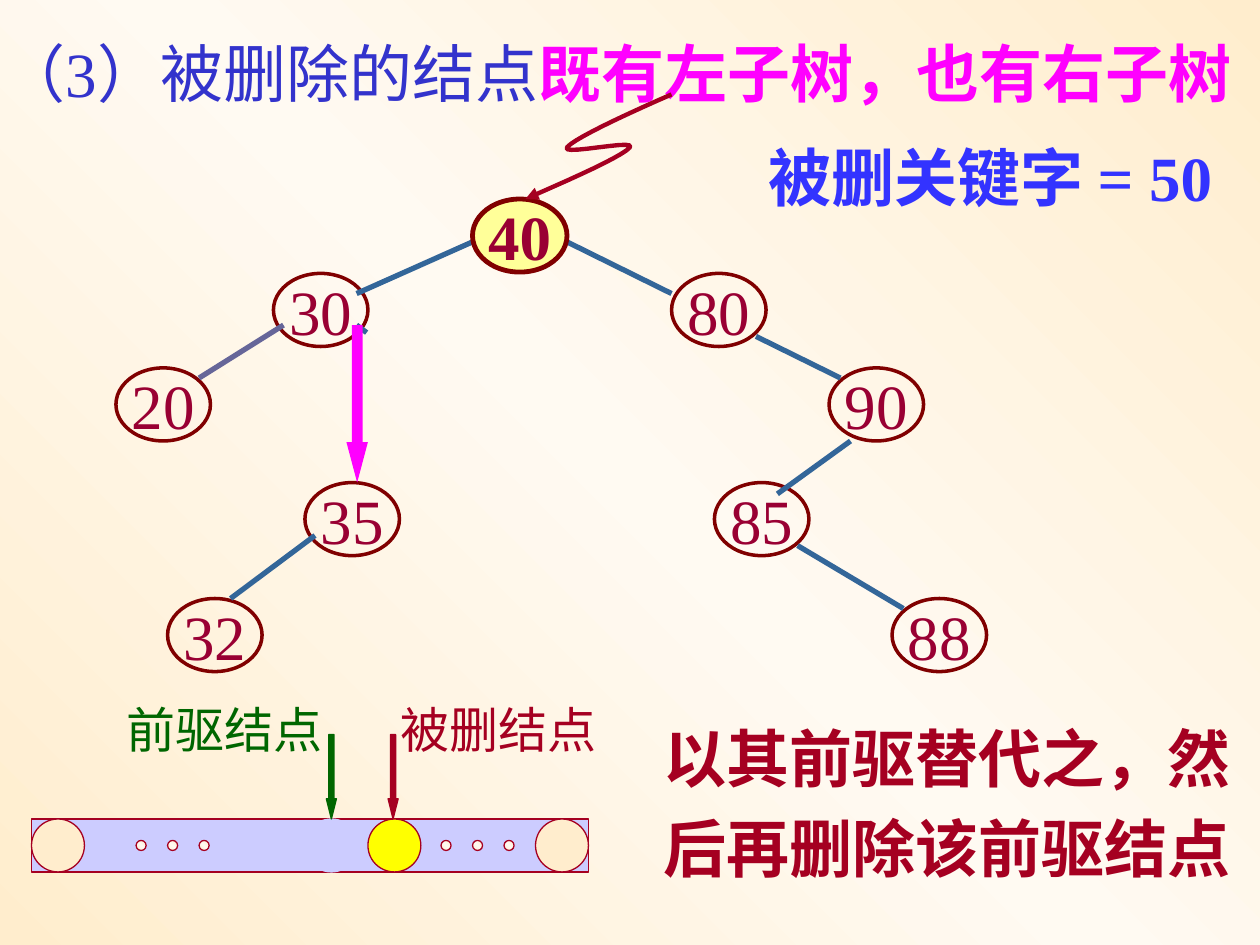
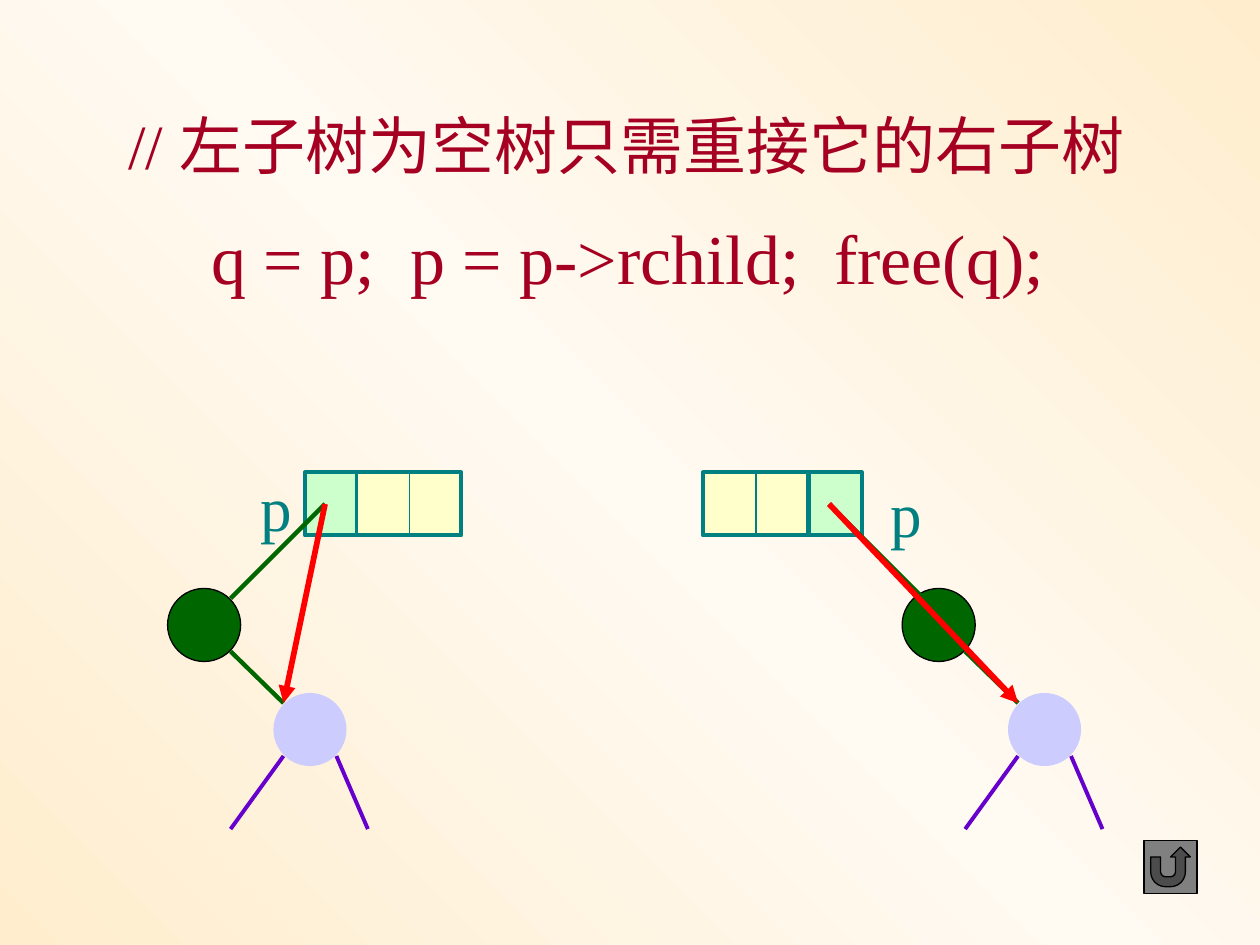
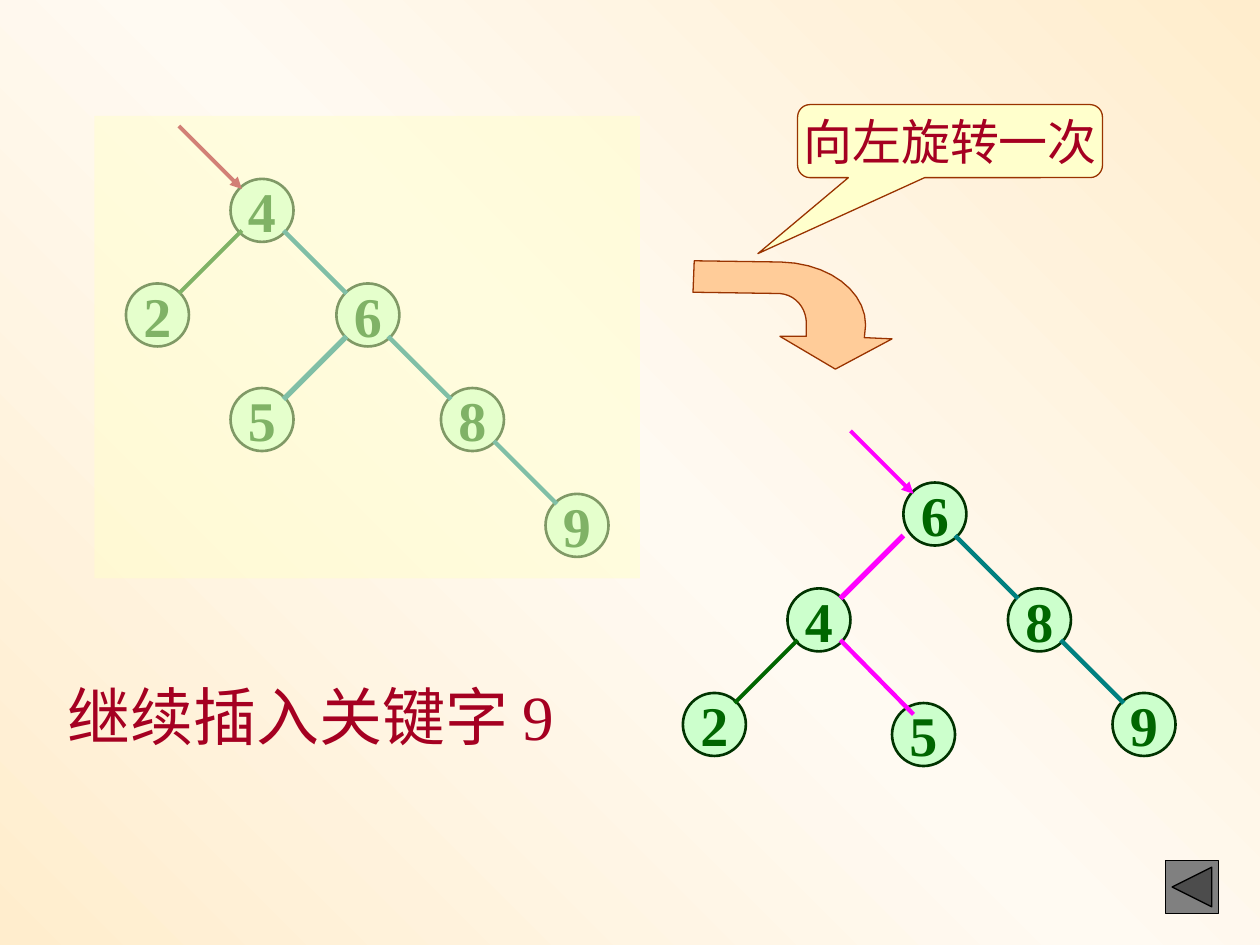
"""Build three slides on deleting from and rotating binary search trees."""
from copy import deepcopy

from lxml import etree
from pptx import Presentation
from pptx.dml.color import RGBColor
from pptx.enum.shapes import MSO_CONNECTOR, MSO_SHAPE
from pptx.enum.text import MSO_ANCHOR, MSO_AUTO_SIZE, PP_ALIGN
from pptx.oxml.ns import qn
from pptx.util import Inches, Pt

OVAL, RECT, DOWN = MSO_SHAPE.OVAL, MSO_SHAPE.RECTANGLE, MSO_SHAPE.DOWN_ARROW
CALLOUT = MSO_SHAPE.ROUNDED_RECTANGULAR_CALLOUT
RETURN, BACK = MSO_SHAPE.ACTION_BUTTON_RETURN, MSO_SHAPE.ACTION_BUTTON_BACK_OR_PREVIOUS
STRAIGHT = MSO_CONNECTOR.STRAIGHT
LEFT, CENTER = PP_ALIGN.LEFT, PP_ALIGN.CENTER
TOP, MIDDLE = MSO_ANCHOR.TOP, MSO_ANCHOR.MIDDLE
NO_FIT = MSO_AUTO_SIZE.NONE
TITLE_ONLY, BLANK = 5, 6

FONT = "Times New Roman"
CRIMSON, MAROON, WINE, BROWN = "A50021", "800000", "990033", "993300"
GREEN, DARK_GREEN, MINT, TEAL = "006600", "003300", "CCFFCC", "008080"
MAGENTA, RED, BLUE, STEEL, SLATE = "FF00FF", "FF0000", "3333FF", "336699", "666699"
NAVY, LILAC, PURPLE = "3333CC", "CCCCFF", "6600CC"
CREAM, SAND, YELLOW, LEMON, PEACH = "FFFFCC", "FFEDCD", "FFFF00", "FFFF99", "FFCC99"
GRAY, BLACK = "808080", "000000"
WASH = "wash"
WASH_STOPS = ((0, SAND), (0.5, "FFFAF2"), (1, SAND))


def rgb(code):
    return RGBColor.from_string(code)


def wash(fill):
    fill.gradient()
    fill.gradient_angle = 45
    first = fill.gradient_stops[0]._gs
    first.addnext(deepcopy(first))
    for stop, (position, color) in zip(fill.gradient_stops, WASH_STOPS):
        stop.position = position
        stop.color.rgb = rgb(color)


def curve(start, pull, push, end, steps=10):
    points = []
    for step in range(1, steps + 1):
        t = step / steps
        weights = ((1 - t) ** 3, 3 * t * (1 - t) ** 2, 3 * t * t * (1 - t), t ** 3)
        anchors = (start, pull, push, end)
        points.append(tuple(sum(w * a[axis] for w, a in zip(weights, anchors))
                            for axis in (0, 1)))
    return points


class Sketch:
    def __init__(self):
        self.deck = Presentation()
        self.deck.slide_width, self.deck.slide_height = Inches(10), Inches(7.5)
        wash(self.deck.slide_master.background.fill)
        self.page = None

    def add_page(self, layout=BLANK):
        self.page = self.deck.slides.add_slide(self.deck.slide_layouts[layout])

    def set_text(self, box, spans, size, align=LEFT, anchor=TOP, wrap=False, spacing=None):
        frame = box.text_frame
        frame.auto_size = NO_FIT
        frame.word_wrap = wrap
        frame.vertical_anchor = anchor
        para = frame.paragraphs[0]
        para.alignment = align
        if spacing:
            para.line_spacing = spacing
        for text, color, bold in spans:
            span = para.add_run()
            span.text = text
            span.font.name = FONT
            span.font.size = Pt(size)
            span.font.bold = bold
            span.font.color.rgb = rgb(color)

    def title(self, place, spans, size):
        box = self.page.shapes.title
        box.left, box.top, box.width, box.height = map(Inches, place)
        self.set_text(box, spans, size, wrap=True)

    def text(self, place, text, color, size=36, bold=False, wrap=False, spacing=None):
        box = self.page.shapes.add_textbox(*map(Inches, place))
        self.set_text(box, [(text, color, bold)], size, wrap=wrap, spacing=spacing)

    def stroke(self, line, color, weight, arrow=False):
        line.color.rgb = rgb(color)
        line.width = Pt(weight)
        if arrow:
            etree.SubElement(line._get_or_add_ln(), qn("a:tailEnd"), type="triangle")

    def paint(self, shape, fill, edge, weight, arrow=False):
        if fill == WASH:
            wash(shape.fill)
        elif fill:
            shape.fill.solid()
            shape.fill.fore_color.rgb = rgb(fill)
        else:
            shape.fill.background()
        if edge:
            self.stroke(shape.line, edge, weight, arrow)
        else:
            shape.line.fill.background()
        shape.shadow.inherit = False

    def shape(self, kind, place, fill=None, edge=None, weight=0.75, adjust=()):
        shape = self.page.shapes.add_shape(kind, *map(Inches, place))
        for index, value in enumerate(adjust):
            shape.adjustments[index] = value
        self.paint(shape, fill, edge, weight)
        return shape

    def veil(self, place, fill, percent):
        shape = self.shape(RECT, place, fill)
        color = shape.fill._xPr.find(qn("a:solidFill"))[0]
        etree.SubElement(color, qn("a:alpha"), val=str(percent * 1000))

    def label(self, shape, text, color, size, bold=False):
        self.set_text(shape, [(text, color, bold)], size, CENTER, MIDDLE)

    def line(self, ends, color, weight, arrow=False):
        link = self.page.shapes.add_connector(STRAIGHT, *map(Inches, ends))
        self.stroke(link.line, color, weight, arrow)
        etree.SubElement(link._element.spPr, qn("a:effectLst"))

    def outline(self, points, edge, weight, fill=None, close=False, arrow=False):
        start, *rest = [(Inches(x), Inches(y)) for x, y in points]
        builder = self.page.shapes.build_freeform(*start)
        builder.add_line_segments(rest, close=close)
        self.paint(builder.convert_to_shape(), fill, edge, weight, arrow)

    def key(self, text, left, top):
        node = self.shape(OVAL, (left, top, 0.75, 0.58), None, MAROON, 2)
        self.label(node, text, WINE, 36)

    def ball(self, text, left, top):
        node = self.shape(OVAL, (left, top, 0.5, 0.5), MINT, DARK_GREEN, 1.5)
        self.label(node, text, GREEN, 32, True)

    def button(self, kind, left, top):
        self.shape(kind, (left, top, 0.42, 0.42), GRAY, BLACK)


def deletion_page(sketch):
    sketch.add_page(TITLE_ONLY)
    sketch.title((-0.08, 0.22, 9.99, 0.7),
                 [("（3）被删除的结点", NAVY, False),
                  ("既有左子树，也有右子树", MAGENTA, True)], 36)
    for text, left, top in (("30", 2.17, 2.17), ("80", 5.33, 2.17), ("20", 0.92, 2.92),
                            ("90", 6.58, 2.92), ("85", 5.67, 3.83), ("35", 2.42, 3.83),
                            ("88", 7.08, 4.75), ("32", 1.33, 4.75)):
        sketch.key(text, left, top)
    sketch.line((2.25, 2.58, 1.58, 3), SLATE, 3)
    for ends in ((3.75, 1.92, 2.83, 2.33), (4.5, 1.92, 5.33, 2.33), (2.83, 2.58, 2.91, 2.64),
                 (6, 2.67, 6.67, 3), (6.75, 3.5, 6.17, 3.92), (6.33, 4.33, 7.17, 4.83),
                 (2.5, 4.25, 1.83, 4.75)):
        sketch.line(ends, STEEL, 3)
    root = sketch.shape(OVAL, (3.75, 1.58, 0.75, 0.58), LEMON, MAROON, 2.75)
    sketch.label(root, "40", WINE, 36, True)

    sketch.shape(RECT, (0.25, 6.5, 4.42, 0.42), LILAC, CRIMSON)
    for left, fill, edge in ((0.25, SAND, CRIMSON), (4.25, SAND, CRIMSON),
                             (2.92, YELLOW, CRIMSON), (2.42, LILAC, LILAC)):
        sketch.shape(OVAL, (left, 6.5, 0.42, 0.42), fill, edge)
    for first in (1.08, 3.5):
        for dot in range(3):
            sketch.shape(OVAL, (first + 0.25 * dot, 6.67, 0.08, 0.08), WASH, CRIMSON)
    sketch.text((5.17, 5.54, 4.77, 1.54), "以其前驱替代之，然后再删除该前驱结点",
                CRIMSON, bold=True, wrap=True, spacing=1.2)
    sketch.shape(DOWN, (2.75, 2.58, 0.17, 1.25), MAGENTA, adjust=(0.5, 1.88))
    for text, color, arrow_left, text_left in (("被删结点", CRIMSON, 3.08, 3.08),
                                               ("前驱结点", GREEN, 2.59, 0.91)):
        sketch.shape(DOWN, (arrow_left, 5.83, 0.08, 0.67), color, color, adjust=(0.5, 2))
        sketch.text((text_left, 5.5, 1.76, 0.57), text, color, 28)
    squiggle = [(5.33, 0.75)]
    for bend in (((4.94, 0.92), (4.56, 1.1), (4.5, 1.17)),
                 ((4.44, 1.24), (5.06, 1.1), (5, 1.17)),
                 ((4.94, 1.24), (4.56, 1.41), (4.17, 1.58))):
        squiggle += curve(squiggle[-1], *bend)
    sketch.outline(squiggle, CRIMSON, 2.5, arrow=True)
    sketch.text((6, 1.05, 3.74, 0.7), "被删关键字 = 50", BLUE, bold=True, wrap=True)


def relink_page(sketch):
    sketch.add_page()
    sketch.text((0.92, 0.5, 8.1, 1), "// 左子树为空树只需重接它的右子树", CRIMSON,
                wrap=True, spacing=1.5)
    sketch.text((1.58, 1.65, 6.82, 0.77), "q = p;  p = p->rchild;  free(q);", CRIMSON, 40)
    for shift, pointer, fields, start, name_place in (
            (0, 2.42, 2.83, 2.58, (1.97, 3.67)),
            (5.83, 6.42, 5.58, 6.58, (6.97, 3.72))):
        sketch.shape(RECT, (pointer, 3.75, 0.42, 0.5), MINT, TEAL, 2.25)
        sketch.shape(RECT, (fields, 3.75, 0.83, 0.5), CREAM, TEAL, 2.25)
        sketch.line((fields + 0.42, 3.75, fields + 0.42, 4.25), TEAL, 0.75)
        sketch.shape(OVAL, (1.33 + shift, 4.67, 0.58, 0.58), GREEN, BLACK)
        sketch.shape(OVAL, (2.17 + shift, 5.5, 0.58, 0.58), LILAC)
        for top, foot in ((2.25, 1.83), (2.67, 2.92)):
            sketch.line((top + shift, 6, foot + shift, 6.58), PURPLE, 2.25)
        sketch.line((1.83 + shift, 5.17, 2.25 + shift, 5.58), GREEN, 2.5)
        sketch.line((start, 4, 7.33 if shift else 1.83, 4.75), GREEN, 2.5)
        sketch.line((start, 4, 2.25 + shift, 5.58), RED, 3.25, arrow=True)
        sketch.text((*name_place, 0.45, 0.7), "p", TEAL)
    sketch.button(RETURN, 9.08, 6.67)


def tree(sketch, balls, links, entry, entry_color):
    for ball in balls:
        sketch.ball(*ball)
    for ends, color, weight in links:
        sketch.line(ends, color, weight)
    sketch.line(entry, entry_color, 2.25, arrow=True)


def rotation_page(sketch):
    sketch.add_page()
    tree(sketch,
         (("4", 1.83, 1.42), ("2", 1, 2.25), ("6", 2.67, 2.25),
          ("5", 1.83, 3.08), ("8", 3.5, 3.08), ("9", 4.33, 3.92)),
         (((1.92, 1.83, 1.42, 2.33), GREEN, 2.25), ((2.25, 1.83, 2.75, 2.33), TEAL, 2.5),
          ((2.75, 2.67, 2.25, 3.17), TEAL, 3), ((3.08, 2.67, 3.58, 3.17), TEAL, 2.5),
          ((3.92, 3.5, 4.42, 4), TEAL, 2.5)),
         (1.42, 1, 1.92, 1.5), CRIMSON)
    sketch.veil((0.75, 0.92, 4.33, 3.67), CREAM, 50)
    tree(sketch,
         (("6", 7.17, 3.83), ("4", 6.25, 4.67), ("2", 5.42, 5.5),
          ("8", 8, 4.67), ("9", 8.83, 5.5), ("5", 7.08, 5.58)),
         (((6.33, 5.08, 5.83, 5.58), GREEN, 2.25), ((7.17, 4.25, 6.67, 4.75), MAGENTA, 3),
          ((7.58, 4.25, 8.08, 4.75), TEAL, 2.5), ((8.42, 5.08, 8.92, 5.58), TEAL, 2.5),
          ((6.67, 5.08, 7.25, 5.67), MAGENTA, 2.5)),
         (6.75, 3.42, 7.25, 3.92), MAGENTA)
    turn = [(6.63, 2.93), (7.08, 2.69), (6.86, 2.68), (6.87, 2.58)]
    turn += curve(turn[-1], (6.87, 2.31), (6.58, 2.09), (6.2, 2.08))
    turn += [(5.51, 2.07), (5.5, 2.32), (6.19, 2.33)]
    turn += curve(turn[-1], (6.31, 2.34), (6.4, 2.44), (6.4, 2.57))
    turn += [(6.4, 2.67), (6.19, 2.67)]
    sketch.outline(turn, BROWN, 0.75, PEACH, close=True)
    callout = sketch.shape(CALLOUT, (6.33, 0.83, 2.42, 0.58), CREAM, BROWN,
                           adjust=(-0.63, 1.54, 0.17))
    sketch.label(callout, "向左旋转一次", CRIMSON, 28)
    sketch.text((0.44, 5.33, 4.39, 0.7), "继续插入关键字 9", CRIMSON, wrap=True)
    sketch.button(BACK, 9.25, 6.83)


def main():
    sketch = Sketch()
    for build in (deletion_page, relink_page, rotation_page):
        build(sketch)
    sketch.deck.save("out.pptx")


if __name__ == "__main__":
    main()
